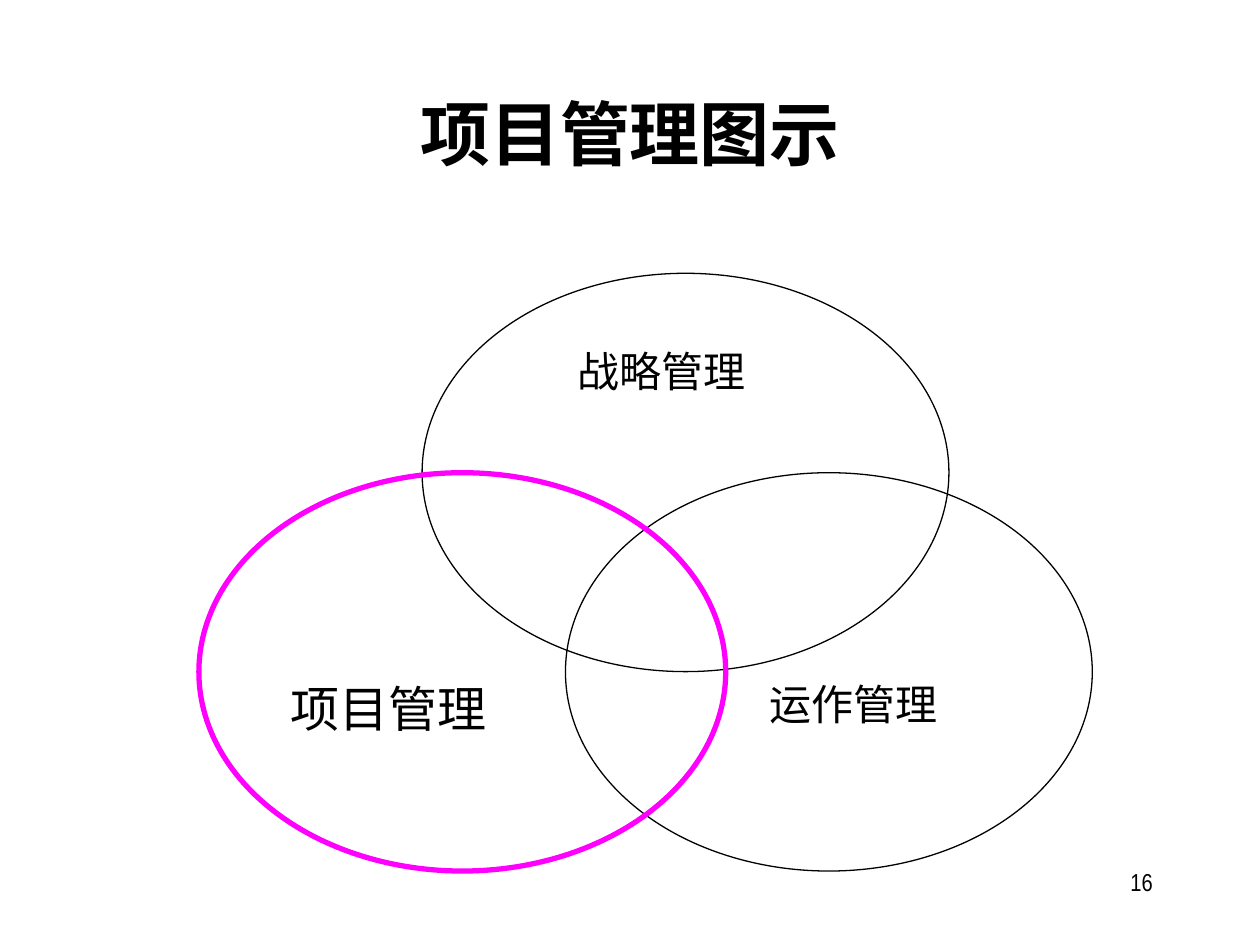
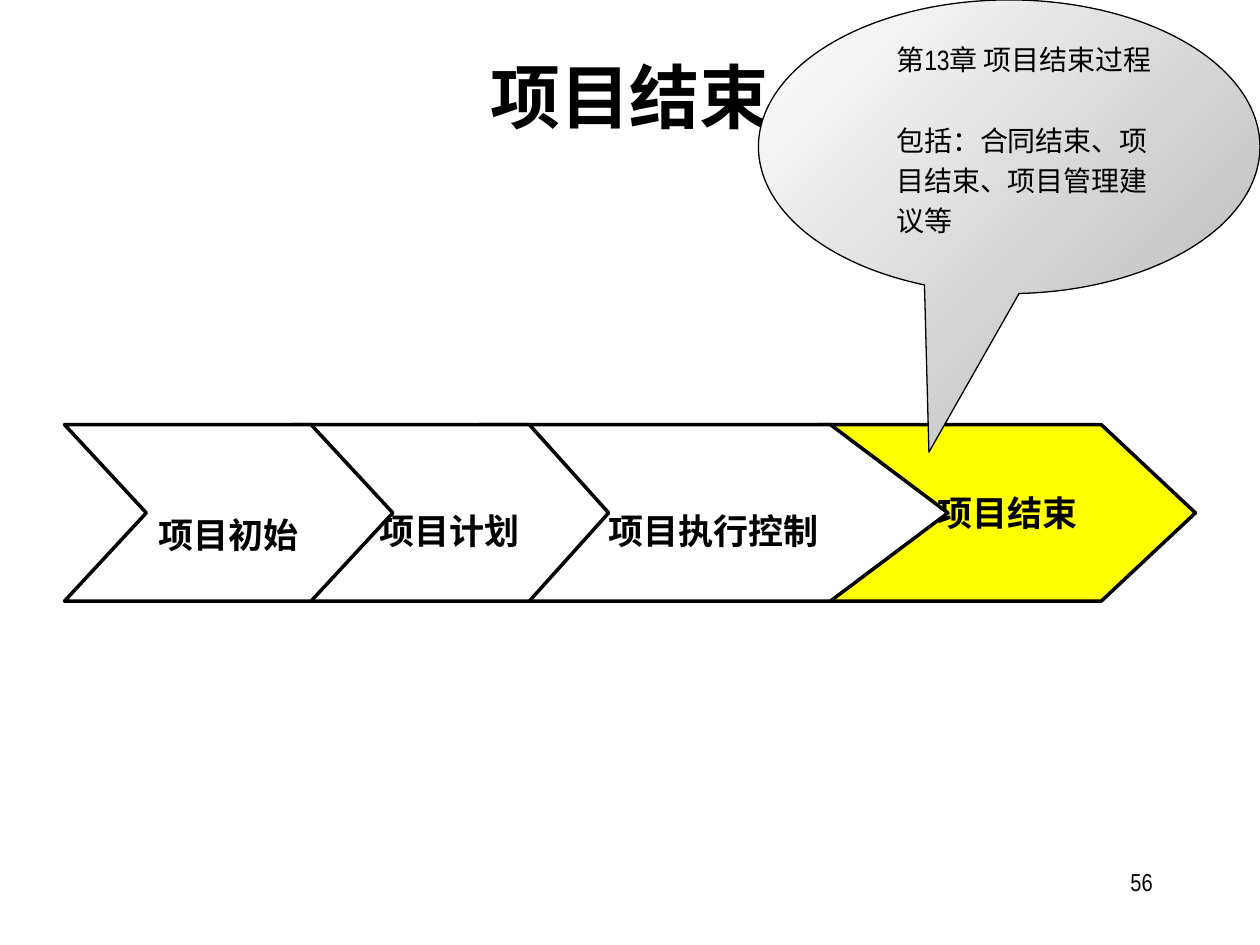
from pptx import Presentation
from pptx import util as u
from pptx.dml.color import RGBColor
from pptx.enum import shapes as es, text as et
from pptx.oxml.ns import qn
from lxml import etree

BLACK = RGBColor(0, 0, 0)
WHITE = RGBColor(255, 255, 255)
GREY = RGBColor(0xC0, 0xC0, 0xC0)
PINK = RGBColor(255, 0, 255)
GOLD = RGBColor(255, 255, 0)
SANS, SLIM, SERIF = "Noto Sans CJK SC", "Arial Narrow", "Times New Roman"
PAD = (0.25, 0.13, 0.25, 0.13)
ALIGN = et.PP_ALIGN


class Deck:
    """Hold the shared style and the current slide."""

    def __init__(self):
        self.prs = Presentation()
        self.prs.slide_width, self.prs.slide_height = u.Cm(25.4), u.Cm(19.05)

    def page(self, name, num, box):
        self.slide = self.prs.slides.add_slide(self.prs.slide_layouts[5])
        self.items = self.slide.shapes
        self.label(str(num), (18.21, 17.35, 5.28, 1.27), 14, SLIM, ALIGN.RIGHT)
        head = self.items.title
        head.left, head.top, head.width, head.height = map(u.Cm, box)
        self.frame(head)
        self.say(head, name, 40, SANS, ALIGN.CENTER, bold=True)

    def frame(self, shape, pad=PAD, anchor=et.MSO_ANCHOR.TOP):
        tf = shape.text_frame
        tf.word_wrap, tf.auto_size = True, et.MSO_AUTO_SIZE.NONE
        tf.vertical_anchor = anchor
        (tf.margin_left, tf.margin_top,
         tf.margin_right, tf.margin_bottom) = map(u.Cm, pad)

    def say(self, shape, words, size, face, align, bold=False, more=False):
        tf = shape.text_frame
        para = tf.add_paragraph() if more else tf.paragraphs[0]
        para.alignment = align
        run = para.add_run()
        run.text = words
        font = run.font
        font.size, font.name, font.bold = u.Pt(size), face, bold
        font.color.rgb = BLACK
        east = etree.Element(qn("a:ea"), typeface=SANS)
        font._element.find(qn("a:latin")).addnext(east)
        return para

    def label(self, words, box, size, face, align):
        shape = self.items.add_textbox(*map(u.Cm, box))
        self.frame(shape)
        self.say(shape, words, size, face, align)

    def paint(self, shape, fill, line, width):
        shape.shadow.inherit = False
        if fill is None:
            shape.fill.background()
        else:
            shape.fill.solid()
            shape.fill.fore_color.rgb = fill
        shape.line.color.rgb = line
        shape.line.width = u.Pt(width)

    def oval(self, left, top, line=BLACK, width=0.75):
        box = map(u.Cm, (left, top, 10.62, 8.03))
        shape = self.items.add_shape(es.MSO_SHAPE.OVAL, *box)
        self.paint(shape, None, line, width)

    def arrow(self, group, words, left, right, depth, drop, fill):
        top, mid, low = 8.56, 10.34, 12.12
        spots = [(right, top), (right + depth, mid), (right, low),
                 (left, low), (left + depth, mid)]
        edge = group.shapes.build_freeform(u.Cm(left), u.Cm(top))
        edge.add_line_segments([(u.Cm(x), u.Cm(y)) for x, y in spots])
        shape = edge.convert_to_shape()
        self.paint(shape, fill, BLACK, 2)
        self.frame(shape, (0.25, 0.13 + 2 * drop, 0.25, 0.13),
                   et.MSO_ANCHOR.MIDDLE)
        self.say(shape, words, 20, SLIM, ALIGN.CENTER, bold=True)

    def bubble(self, first, second, box):
        kind = es.MSO_SHAPE.OVAL_CALLOUT
        shape = self.items.add_shape(kind, *map(u.Cm, box))
        shape.adjustments[0], shape.adjustments[1] = -0.16, 1.04
        self.paint(shape, WHITE, BLACK, 0.75)
        shape.fill.gradient()
        shape.fill.gradient_angle = 315
        for stop, tone in zip(shape.fill.gradient_stops, (WHITE, GREY)):
            stop.color.rgb = tone
        self.frame(shape, (1.3, 0, 0.51, 0.1))
        self.say(shape, first, 16, SLIM, ALIGN.LEFT)
        para = self.say(shape, second, 16, SLIM, ALIGN.LEFT, more=True)
        para.line_spacing, para.space_before = 1.2, u.Pt(23)


def main():
    deck = Deck()
    deck.page("项目管理图示", 16, (1.9, 1.7, 21.6, 3.18))
    deck.oval(8.51, 5.51)
    deck.oval(11.4, 9.53)
    for words, left, top, size in (("战略管理", 11.4, 6.83, 24),
                                   ("项目管理", 5.61, 13.54, 28),
                                   ("运作管理", 15.27, 13.54, 24)):
        deck.label(words, (left, top, 5.79, 2.03), size, SERIF, ALIGN.JUSTIFY)
    deck.oval(4.01, 9.53, PINK, 3)

    deck.page("项目结束", 56, (1.27, 0.94, 22.86, 3.18))
    group = deck.items.add_group_shape()
    for step in (("项目结束", 16.51, 22.2, 1.9, 0, GOLD),
                 ("项目执行控制", 9.65, 16.74, 2.37, 0.36, WHITE),
                 ("项目计划", 5.87, 10.67, 1.6, 0.36, WHITE),
                 ("项目初始", 1.3, 6.27, 1.65, 0.43, WHITE)):
        deck.arrow(group, *step)
    deck.bubble("第13章 项目结束过程", "包括：合同结束、项目结束、项目管理建议等",
                (15.29, 0, 10.11, 5.92))
    deck.prs.save("out.pptx")


if __name__ == "__main__":
    main()
